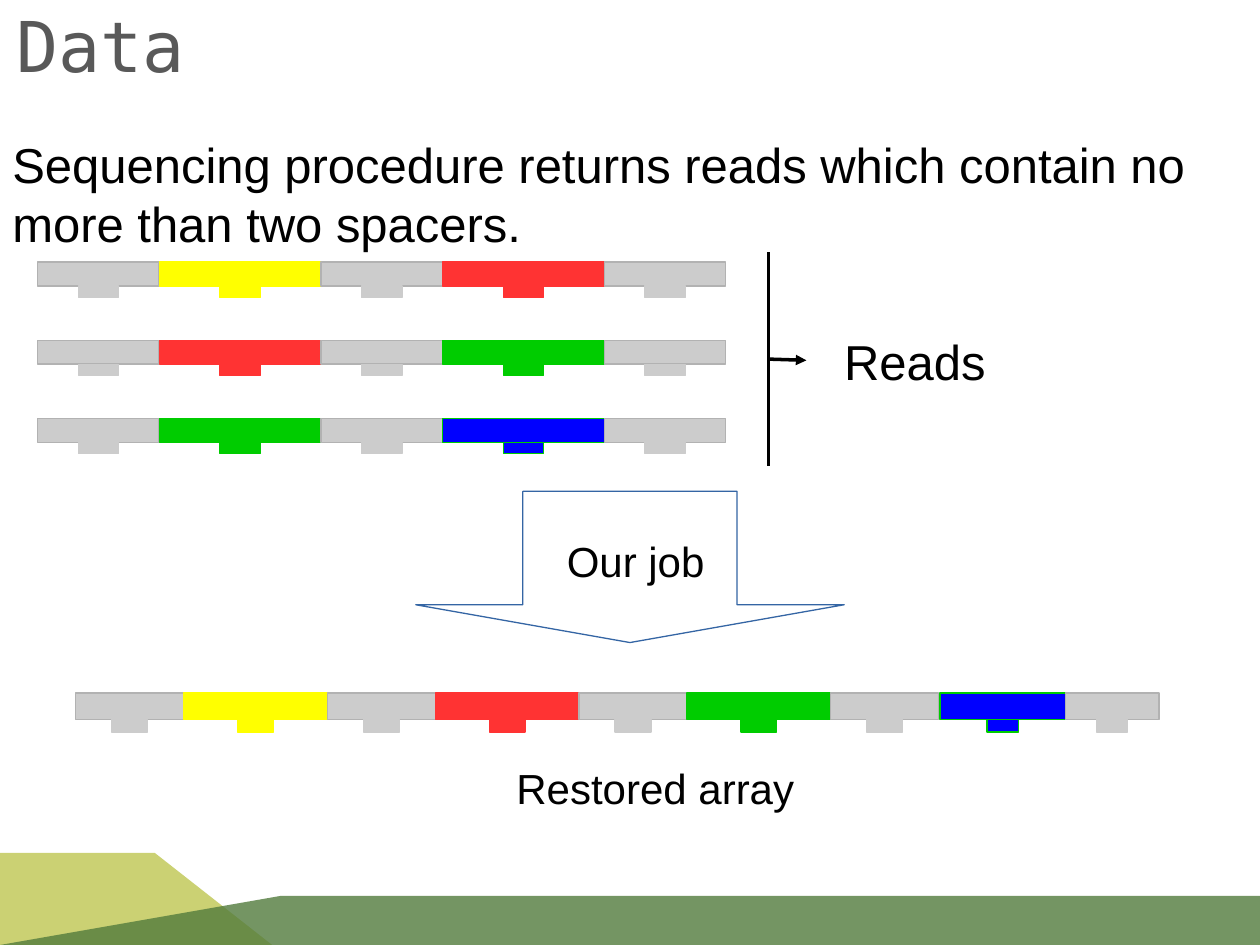
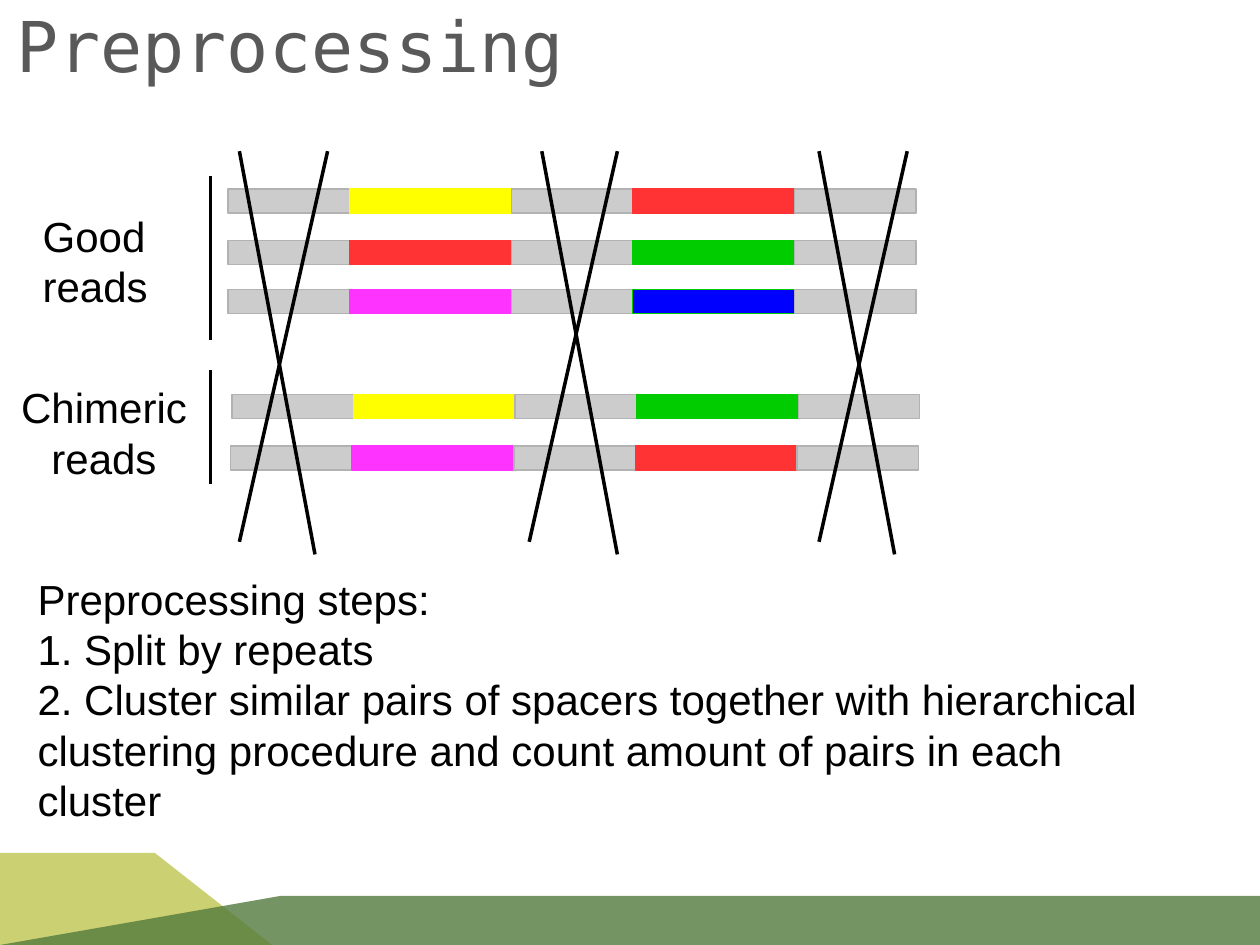
"""Two slides on sequencing reads: the data, and how it is preprocessed."""
from lxml import etree
from pptx import Presentation
from pptx.dml.color import RGBColor
from pptx.enum.shapes import MSO_CONNECTOR, MSO_SHAPE
from pptx.enum.text import MSO_ANCHOR, MSO_AUTO_SIZE, PP_ALIGN
from pptx.oxml.ns import qn
from pptx.util import Inches, Pt

RECT, DOWN_ARROW = MSO_SHAPE.RECTANGLE, MSO_SHAPE.DOWN_ARROW
STRAIGHT = MSO_CONNECTOR.STRAIGHT
LEFT, CENTER, MIDDLE = PP_ALIGN.LEFT, PP_ALIGN.CENTER, MSO_ANCHOR.MIDDLE
FIT_SHAPE, NO_FIT = MSO_AUTO_SIZE.SHAPE_TO_FIT_TEXT, MSO_AUTO_SIZE.NONE

BLACK, TITLE_GRAY, ARROW_BLUE = "000000", "595959", "3465A4"
REPEAT, REPEAT_EDGE = "CCCCCC", "B2B2B2"
YELLOW, RED, GREEN = "FFFF00", "FF3333", "00CC00"
BLUE, PINK = "0000FF", "FF33FF"
BODY_FONT, TITLE_FONT = "Arial", "DejaVu Sans Mono"

BANDS = [
    ("CBD173", 100, [(0, 7.5), (0, 6.77), (1.23, 6.77), (2.16, 7.5)]),
    ("527B3D", 80, [(0, 7.5), (2.23, 7.11), (10, 7.11), (10, 7.5)]),
]

READ_WIDTH = 5.46
READ_LEFT, READ_TOP, READ_PITCH = 0.3, 2.08, 0.62
READS = [(YELLOW, RED), (RED, GREEN), (GREEN, BLUE)]
RESTORED_TOP = 5.5
RESTORED = [
    (0.6, 6.85, [REPEAT, YELLOW, REPEAT, RED, REPEAT, GREEN, REPEAT]),
    (7.46, 1.74, [BLUE, REPEAT]),
]
DATA_TEXTS = [
    (["Sequencing procedure returns reads which contain no more than two spacers."],
     (0, 1.02, 10, 0.97), 28),
    (["Reads"], (6.6, 2.58, 3.02, 0.53), 28),
    (["Our job"], (4.4, 4.2, 5.3, 0.47), 24),
    (["Restored array"], (4, 6, 4, 0.47), 24),
]

SPLIT_READS = [
    (1.81, 1.5, (YELLOW, RED)),
    (1.81, 1.91, (RED, GREEN)),
    (1.81, 2.3, (PINK, BLUE)),
    (1.84, 3.13, (YELLOW, GREEN)),
    (1.83, 3.54, (PINK, RED)),
]
GROUP_LINES = [(1.67, 1.4, 1.67, 2.7), (1.67, 2.94, 1.67, 3.84)]
CROSSES = [(1.9, 2.6), (4.3, 4.9), (6.5, 7.2)]
STEPS = [
    "Preprocessing steps:",
    "1. Split by repeats",
    "2. Cluster similar pairs of spacers together with hierarchical clustering "
    "procedure and count amount of pairs in each cluster",
]


def rgb(color):
    """Turn a hex string into a colour."""
    return RGBColor.from_string(color)


def write(tf, paragraphs, size=24, font=BODY_FONT, color=BLACK, align=LEFT, fit=FIT_SHAPE):
    """Fill a text frame with formatted paragraphs."""
    tf.word_wrap = True
    tf.auto_size = fit
    for i, text in enumerate(paragraphs):
        p = tf.add_paragraph() if i else tf.paragraphs[0]
        p.alignment = align
        r = p.add_run()
        r.text = text
        r.font.size, r.font.name = Pt(size), font
        r.font.color.rgb = rgb(color)


def add_text(s, paragraphs, box, size=24, **fmt):
    """Add a text box."""
    sp = s.shapes.add_textbox(*map(Inches, box))
    write(sp.text_frame, paragraphs, size, **fmt)


def add_block(s, box, fill, edge, kind=RECT):
    """Add a shape with a hairline edge; no fill if fill is None."""
    sp = s.shapes.add_shape(kind, *map(Inches, box))
    sp.shadow.inherit = False
    if fill:
        sp.fill.solid()
        sp.fill.fore_color.rgb = rgb(fill)
    else:
        sp.fill.background()
    sp.line.color.rgb = rgb(edge)
    sp.line.width = Pt(0)
    return sp


def add_line(s, ends, arrow=False):
    """Add a black hairline, with an arrowhead at its end if asked."""
    sp = s.shapes.add_connector(STRAIGHT, *map(Inches, ends))
    sp.line.color.rgb = rgb(BLACK)
    sp.line.width = Pt(0)
    if arrow:
        etree.SubElement(sp.line._get_or_add_ln(), qn("a:tailEnd"), type="triangle")
    etree.SubElement(sp.element.spPr, qn("a:effectLst"))


def add_strand(s, left, top, width, segments, height=0.19, tab=0.0):
    """Lay repeats (3 units) and spacers (4 units) end to end, with 1-unit tabs below."""
    units = [3 if color == REPEAT else 4 for color in segments]
    unit = width / sum(units)
    for color, n in zip(segments, units):
        edge = GREEN if color == BLUE else color
        add_block(s, (left, top, n * unit, height), color,
                  REPEAT_EDGE if color == REPEAT else edge)
        if tab:
            add_block(s, (left + (n - 1) / 2 * unit, top + height, unit, tab), color, edge)
        left += n * unit


def read_segments(spacers):
    """Put repeats around the two spacers of a read."""
    first, second = spacers
    return [REPEAT, first, REPEAT, second, REPEAT]


def add_bands(s):
    """Draw the bottom bands and move them to the slide's layout."""
    tree = s.slide_layout.shapes.element
    for i, (color, opacity, points) in enumerate(BANDS):
        corners = [(Inches(x), Inches(y)) for x, y in points]
        builder = s.shapes.build_freeform(*corners[0])
        builder.add_line_segments(corners[1:])
        sp = builder.convert_to_shape()
        sp.shadow.inherit = False
        sp.fill.solid()
        sp.fill.fore_color.rgb = rgb(color)
        sp.line.fill.background()
        if opacity < 100:
            clr = sp.element.spPr.find(".//" + qn("a:srgbClr"))
            etree.SubElement(clr, qn("a:alpha"), val=str(opacity * 1000))
        sp.element.nvSpPr.cNvPr.set("id", str(101 + i))
        tree.insert(2 + i, sp.element)


def add_slide(prs, title, width):
    """Add a slide with a formatted title."""
    s = prs.slides.add_slide(prs.slide_layouts[5])
    sp = s.shapes.title
    sp.left, sp.top, sp.width, sp.height = map(Inches, (0.03, 0, width, 0.7))
    sp.text_frame.vertical_anchor = MIDDLE
    write(sp.text_frame, [title], 40, font=TITLE_FONT, color=TITLE_GRAY, fit=NO_FIT)
    return s


def build_data(prs):
    """Build the slide on reads and the restored array."""
    s = add_slide(prs, "Data", 2.57)
    add_bands(s)
    add_line(s, (6.1, 2, 6.1, 3.7))
    add_line(s, (6.1, 2.85, 6.4, 2.86), arrow=True)
    for i, spacers in enumerate(READS):
        add_strand(s, READ_LEFT, READ_TOP + i * READ_PITCH, READ_WIDTH,
                   read_segments(spacers), tab=0.09)
    sp = add_block(s, (3.3, 3.9, 3.4, 1.2), None, ARROW_BLUE, DOWN_ARROW)
    sp.adjustments[0], sp.adjustments[1] = 0.5, 0.25
    for left, width, segments in RESTORED:
        add_strand(s, left, RESTORED_TOP, width, segments, height=0.21, tab=0.1)
    for paragraphs, box, size in DATA_TEXTS:
        add_text(s, paragraphs, box, size)


def build_preprocessing(prs):
    """Build the slide on good and chimeric reads."""
    s = add_slide(prs, "Preprocessing", 5.17)
    for left, top, spacers in SPLIT_READS:
        add_strand(s, left, top, READ_WIDTH, read_segments(spacers))
    for ends in GROUP_LINES:
        add_line(s, ends)
    add_text(s, ["Good reads"], (0.24, 1.62, 1.85, 0.92))
    add_text(s, ["Chimeric reads"], (-0.1, 2.98, 1.85, 0.92), align=CENTER)
    for falling, rising in CROSSES:
        add_line(s, (falling, 1.2, falling + 0.6, 4.4))
        add_line(s, (rising, 1.2, rising - 0.7, 4.3))
    add_text(s, STEPS, (0.2, 4.5, 9.4, 1.96))


def main():
    """Build and save the presentation."""
    prs = Presentation()
    prs.slide_width, prs.slide_height = Inches(10), Inches(7.5)
    build_data(prs)
    build_preprocessing(prs)
    prs.save("out.pptx")


if __name__ == "__main__":
    main()
